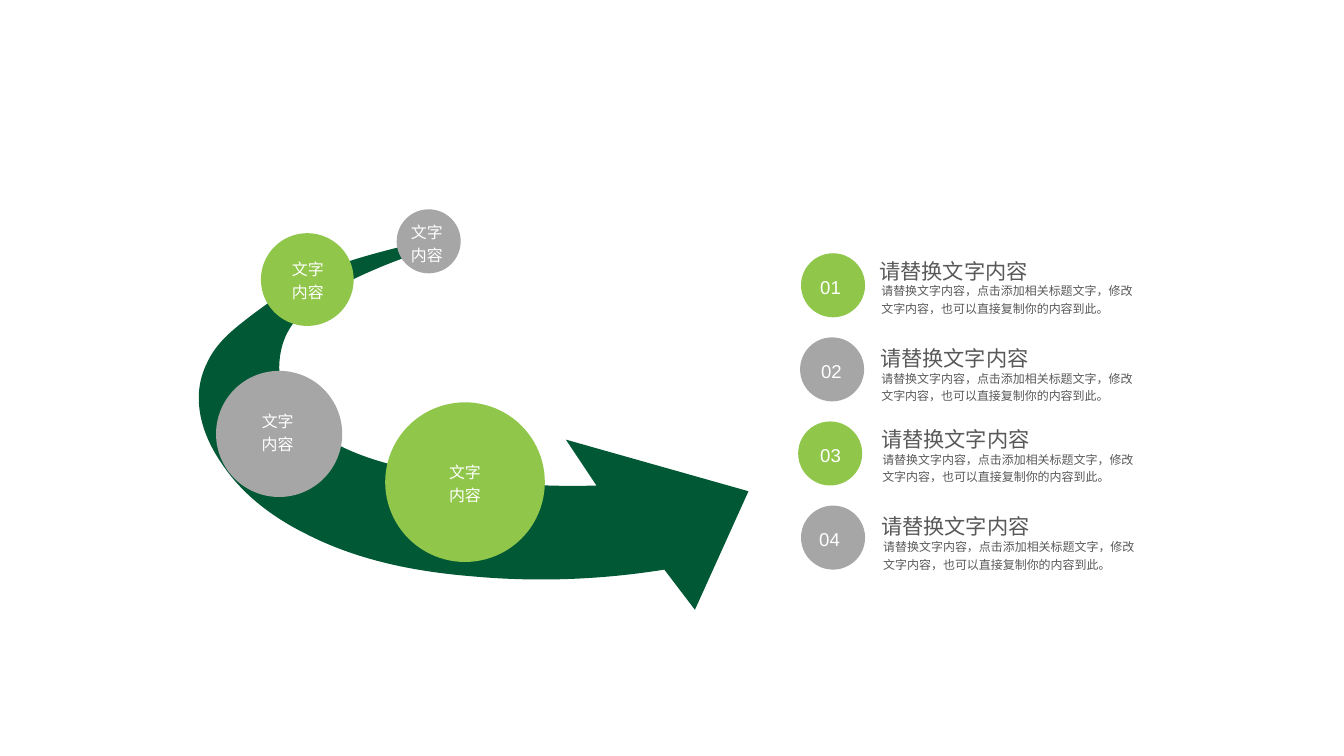
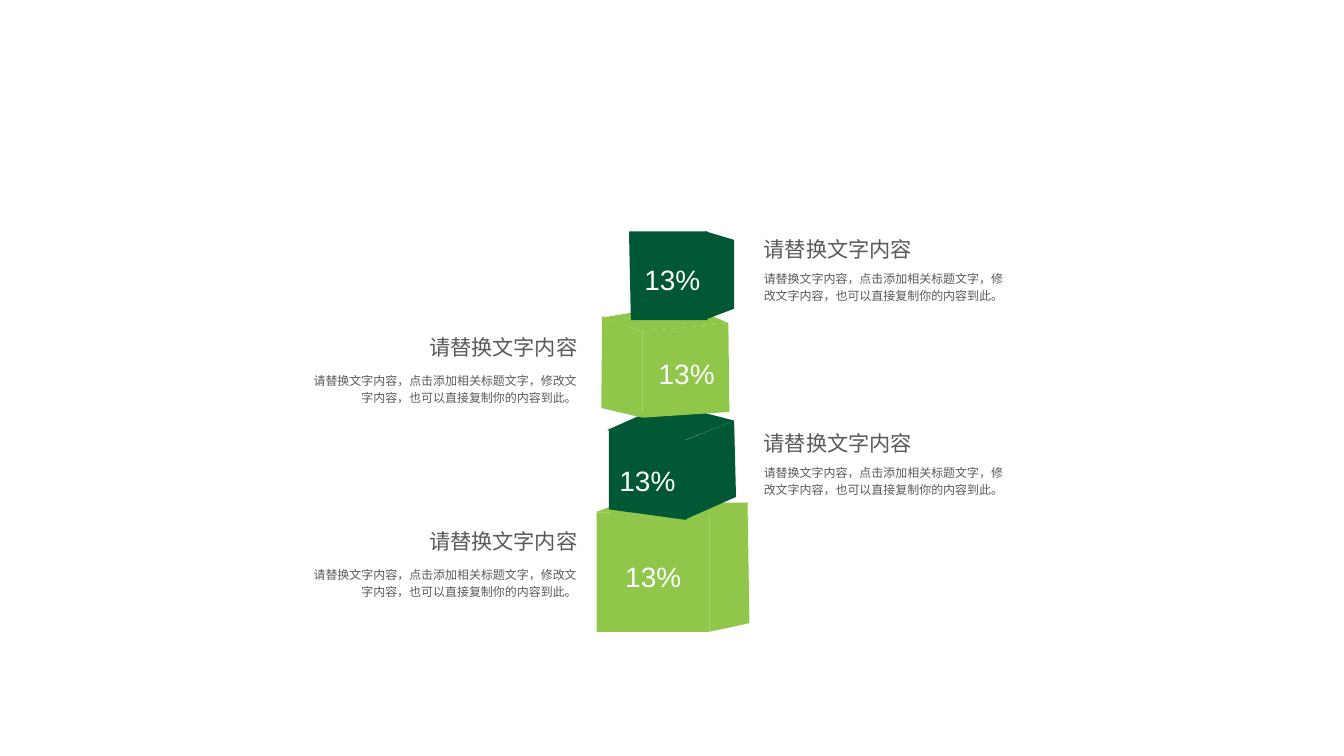
"""Build two infographic slides: a curved arrow with steps and a stack of cubes."""
from lxml.etree import SubElement
from pptx import Presentation
from pptx.dml.color import RGBColor
from pptx.enum.shapes import MSO_SHAPE as Shape
from pptx.enum.text import MSO_ANCHOR as Anchor, MSO_AUTO_SIZE as AutoSize, PP_ALIGN as Align
from pptx.oxml.ns import qn
from pptx.util import Inches, Pt

COLORS = {"dark": "015835", "green": "90C74B", "gray": "A6A6A6", "text": "595959", "white": "FFFFFF"}
FONT = "Arial"
HEADING = "请替换文字内容"
DETAIL = "请替换文字内容，点击添加相关标题文字，修改文字内容，也可以直接复制你的内容到此。"
BUBBLE_TEXT = "文字内容"
PERCENT = "13%"

ARROW_BOX = (2.08, 2.5, 7.83, 6.38)
ARROW_START = (4.61, 2.5)
ARROW_SEGMENTS = [
    [(4.79, 2.53)],
    [(4.38, 2.63), (4, 2.77), (3.64, 2.95)],
    [(3.34, 3.11), (3.01, 3.31), (2.94, 3.67)],
    [(2.79, 4.38), (3.57, 4.77), (4.32, 4.91)],
    [(4.63, 4.97), (4.94, 5.02), (5.26, 5.05)],
    [(5.58, 5.08), (5.9, 5.09), (6.24, 5.08)],
    [(5.92, 4.6)],
    [(7.83, 5.14)],
    [(7.27, 6.38)],
    [(6.95, 5.96)],
    [(6.26, 6.07), (5.59, 6.09), (4.94, 6.03)],
    [(4.33, 5.98), (3.73, 5.86), (3.19, 5.58)],
    [(2.85, 5.41), (2.53, 5.17), (2.32, 4.85)],
    [(2.11, 4.55), (1.99, 4.16), (2.16, 3.81)],
    [(2.26, 3.58), (2.45, 3.44), (2.63, 3.3)],
    [(2.79, 3.18), (2.96, 3.06), (3.13, 2.96)],
    [(3.36, 2.83), (3.61, 2.74), (3.86, 2.67)],
    [(4.11, 2.6), (4.35, 2.54), (4.61, 2.5)],
]

BUBBLES = [
    ("gray", (4.15, 2.19), 0.67, (4.25, 2.29, 0.43)),
    ("green", (2.73, 2.44), 0.97, (3, 2.68, 0.44)),
    ("gray", (2.26, 3.88), 1.32, (2.68, 4.27, 0.45)),
    ("green", (4.03, 4.21), 1.67, (4.65, 4.8, 0.43)),
]

STEPS = [
    ("green", 8.38, 8.58, (9.2, 2.65), (9.22, 2.94)),
    ("gray", 8.37, 8.59, (9.21, 3.56), (9.22, 3.86)),
    ("green", 8.35, 8.58, (9.22, 4.41), (9.23, 4.7)),
    ("gray", 8.38, 8.57, (9.22, 5.32), (9.24, 5.62)),
]

CUBE_FACES = [
    ("green", [(6.23, 5.36), (6.5, 5.26), (7.84, 5.26), (7.46, 5.4)]),
    ("green", [(7.42, 5.39), (7.42, 6.61), (7.84, 6.52), (7.82, 5.26)]),
    ("green", [(6.24, 5.36), (6.24, 6.61), (7.42, 6.61), (7.42, 5.39)]),
    ("dark", [(6.35, 4.5), (6.98, 4.22), (7.68, 4.4), (7.15, 4.61)]),
    ("dark", [(7.16, 4.61), (7.68, 4.4), (7.7, 5.2), (7.18, 5.43)]),
    ("green", [(6.32, 3.32), (7.16, 3.18), (7.62, 3.38), (6.73, 3.47)]),
    ("green", [(6.3, 3.31), (6.72, 3.47), (6.72, 4.37), (6.29, 4.27)]),
    ("green", [(7.62, 3.38), (6.72, 3.47), (6.72, 4.37), (7.63, 4.31)]),
    ("dark", [(6.58, 2.42), (7.4, 2.42), (7.4, 3.35), (6.6, 3.35)]),
    ("dark", [(7.38, 2.42), (7.68, 2.51), (7.68, 3.23), (7.39, 3.34)]),
    ("dark", [(6.37, 4.5), (6.37, 5.33), (7.18, 5.44), (7.17, 4.6)]),
]
PERCENT_SPOTS = [(6.74, 2.69), (6.89, 3.68), (6.48, 4.79), (6.54, 5.8)]


def paint(shape, color):
    """Give a shape a plain fill without line or shadow."""
    shape.shadow.inherit = False
    shape.fill.solid()
    shape.fill.fore_color.rgb = RGBColor.from_string(COLORS[color])
    shape.line.fill.background()


def add_outline(page, points, color):
    """Draw a closed filled outline through the points."""
    corners = [(Inches(x), Inches(y)) for x, y in points]
    builder = page.shapes.build_freeform(*corners[0])
    builder.add_line_segments(corners[1:], close=True)
    outline = builder.convert_to_shape()
    paint(outline, color)
    return outline


def add_curved_outline(page, bounds, start, segments, color):
    """Draw a closed outline of lines and cubic curves within the bounds."""
    left, top, right, bottom = bounds
    outline = add_outline(page, [(left, top), (right, top), (right, bottom), (left, bottom)], color)
    route = outline.element.find(".//" + qn("a:path"))
    for command in list(route):
        route.remove(command)
    tags = {1: "a:lnTo", 3: "a:cubicBezTo"}
    for tag, points in [("a:moveTo", [start]), *((tags[len(points)], points) for points in segments)]:
        command = SubElement(route, qn(tag))
        for x, y in points:
            SubElement(command, qn("a:pt"), x=str(Inches(x - left)), y=str(Inches(y - top)))
    SubElement(route, qn("a:close"))


def add_circle(page, left, top, size, color):
    """Draw a filled circle."""
    circle = page.shapes.add_shape(Shape.OVAL, Inches(left), Inches(top), Inches(size), Inches(size))
    paint(circle, color)


def add_text(page, text, area, size, color="text", align=Align.LEFT, anchor=Anchor.TOP, wrap=True):
    """Add one paragraph in a text box without margins."""
    box = page.shapes.add_textbox(*(Inches(length) for length in area))
    frame = box.text_frame
    frame.margin_left = frame.margin_top = frame.margin_right = frame.margin_bottom = 0
    frame.word_wrap = wrap
    frame.auto_size = AutoSize.SHAPE_TO_FIT_TEXT
    frame.vertical_anchor = anchor
    para = frame.paragraphs[0]
    para.alignment = align
    para.line_spacing = 1.2
    span = para.add_run()
    span.text = text
    span.font.name = FONT
    span.font.size = Pt(size)
    span.font.color.rgb = RGBColor.from_string(COLORS[color])


def add_label(page, text, area, size):
    """Add a white one-line label."""
    add_text(page, text, area, size, "white", anchor=Anchor.MIDDLE, wrap=False)


def add_heading_and_detail(page, heading_area, detail_area, align=Align.LEFT, wrap=True):
    """Add a heading with its detail text."""
    add_text(page, HEADING, (*heading_area, 0.3), 16, align=align, wrap=wrap)
    add_text(page, DETAIL, (*detail_area, 0.35), 9, align=align)


def build_arrow_page(page):
    """Build the curved arrow with bubbles and numbered steps."""
    add_curved_outline(page, ARROW_BOX, ARROW_START, ARROW_SEGMENTS, "dark")
    for index, (color, circle_left, number_left, heading_spot, detail_spot) in enumerate(STEPS):
        circle_top = 2.65 + 0.88 * index
        add_circle(page, circle_left, circle_top, 0.67, color)
        add_heading_and_detail(page, (*heading_spot, 1.57), (*detail_spot, 2.73), wrap=False)
        add_label(page, f"{index + 1:02}", (number_left, circle_top + 0.19, 0.22, 0.28), 14)
    for color, (left, top), size, text_area in BUBBLES:
        add_circle(page, left, top, size, color)
        add_text(page, BUBBLE_TEXT, (*text_area, 0.46), 12, "white", Align.CENTER)


def build_cube_page(page):
    """Build the stack of cubes with texts on both sides."""
    for color, points in CUBE_FACES:
        add_outline(page, points, color)
    for spot in PERCENT_SPOTS:
        add_label(page, PERCENT, (*spot, 0.59, 0.39), 21.1)
    for drop in (0, 2.03):
        add_heading_and_detail(page, (7.99, 2.42 + drop, 1.8), (7.99, 2.81 + drop, 2.59))
        add_heading_and_detail(page, (4.2, 3.44 + drop, 1.84), (3.25, 3.88 + drop, 2.78), Align.RIGHT)


def main():
    """Build and save the deck."""
    deck = Presentation()
    deck.slide_width, deck.slide_height = Inches(14.06), Inches(7.91)
    for build in (build_arrow_page, build_cube_page):
        build(deck.slides.add_slide(deck.slide_layouts[6]))
    deck.save("out.pptx")


if __name__ == "__main__":
    main()
